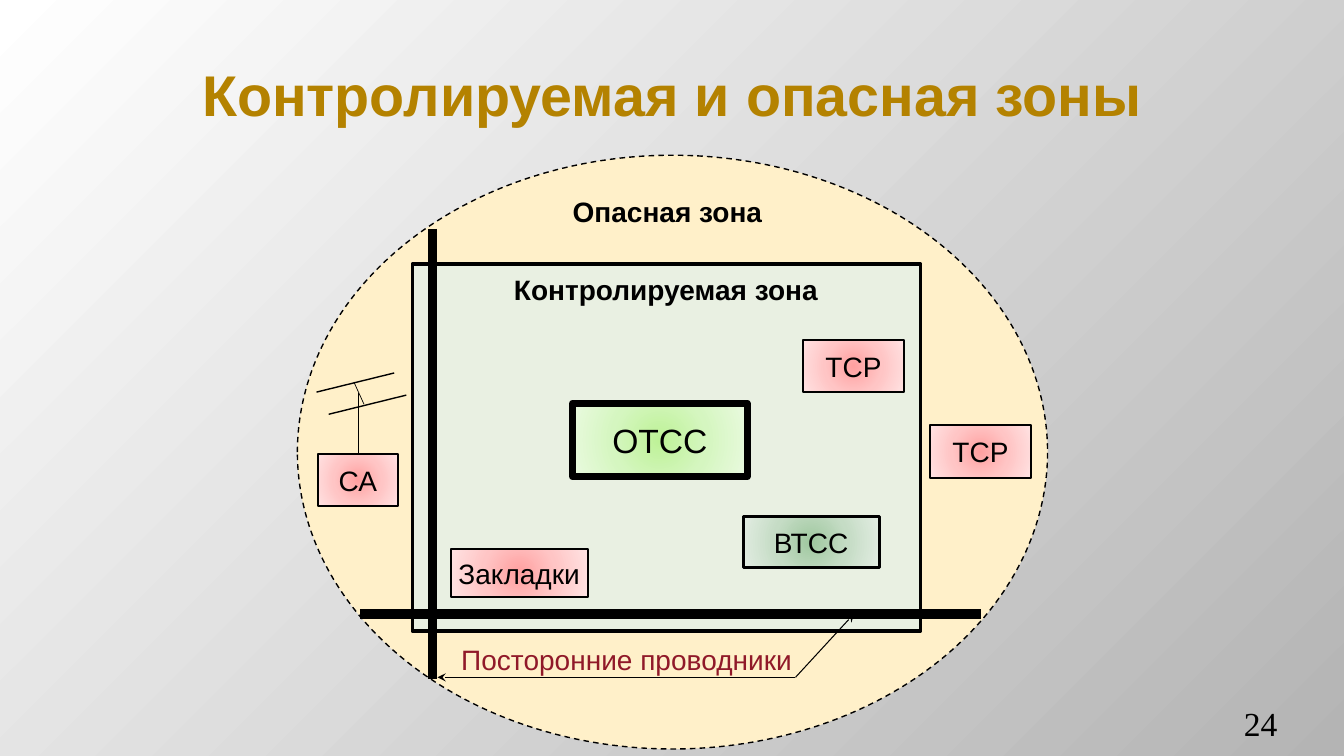
"""Build the slide on controlled and dangerous zones."""
from lxml import etree
from pptx import Presentation
from pptx.dml.color import RGBColor
from pptx.enum import dml, shapes, text
from pptx.oxml import ns
from pptx.util import Inches, Pt

BLACK = RGBColor(0x00, 0x00, 0x00)
GOLD = RGBColor(0xB4, 0x82, 0x00)
MAROON = RGBColor(0x90, 0x19, 0x29)
CREAM = RGBColor(0xFF, 0xF0, 0xC9)
PALE_GREEN = RGBColor(0xE9, 0xF0, 0xE2)
BACKDROP = (RGBColor(0xFF, 0xFF, 0xFF), RGBColor(0xB4, 0xB4, 0xB4))
PINK = (RGBColor(0xFF, 0xA0, 0xA0), RGBColor(0xFF, 0xC5, 0xC5), RGBColor(0xFF, 0xE3, 0xE3))
LIME = (RGBColor(0xBE, 0xF2, 0x97), RGBColor(0xD5, 0xF6, 0xC0), RGBColor(0xEA, 0xFA, 0xE0))
SAGE = (RGBColor(0x9F, 0xC8, 0x9F), RGBColor(0xC5, 0xDC, 0xC5), RGBColor(0xE3, 0xED, 0xE3))
CENTRE = (50, 50, 50, 50)
TOP_LEFT = (0, 0, 100, 100)
BOX_INSETS = (0.04, 0.05)
TEXT_INSETS = (0.1, 0.05)


def add_part(parent, tag, **attributes):
    """Append a drawing element with the given attributes."""
    values = {name: str(value) for name, value in attributes.items()}
    return etree.SubElement(parent, ns.qn(tag), values)


def radiate(fill, owner, colours, focus):
    """Give a fill a circular gradient of evenly spaced colours."""
    fill.gradient()
    gradient = owner.find(".//" + ns.qn("a:gradFill"))
    for child in list(gradient):
        gradient.remove(child)
    stops = add_part(gradient, "a:gsLst")
    for index, colour in enumerate(colours):
        stop = add_part(stops, "a:gs", pos=100000 * index // (len(colours) - 1))
        add_part(stop, "a:srgbClr", val=colour)
    circle = add_part(gradient, "a:path", path="circle")
    sides = {side: share * 1000 for side, share in zip("ltrb", focus)}
    add_part(circle, "a:fillToRect", **sides)


def write(shape, words, size, insets=TEXT_INSETS, anchor=text.MSO_ANCHOR.MIDDLE,
          align=text.PP_ALIGN.CENTER, colour=BLACK, **font):
    """Put one formatted line of text into a shape."""
    frame = shape.text_frame
    across, down = (Inches(inset) for inset in insets)
    layout = {"word_wrap": True, "vertical_anchor": anchor, "margin_left": across,
              "margin_right": across, "margin_top": down, "margin_bottom": down}
    for name, value in layout.items():
        setattr(frame, name, value)
    paragraph = frame.paragraphs[0]
    paragraph.alignment = align
    run = paragraph.add_run()
    run.text = words
    for name, value in {"name": "Arial", "size": Pt(size), **font}.items():
        setattr(run.font, name, value)
    run.font.color.rgb = colour


def add_label(slide, place, words, size, **style):
    """Add a text box."""
    label = slide.shapes.add_textbox(*map(Inches, place))
    write(label, words, size, **style)


def add_outlined(slide, kind, place, weight):
    """Add a black-outlined shape without a shadow."""
    shape = slide.shapes.add_shape(kind, *map(Inches, place))
    shape.shadow.inherit = False
    shape.line.color.rgb = BLACK
    shape.line.width = Pt(weight)
    return shape


def add_zone(slide, kind, place, colour, weight):
    """Add a plain zone area."""
    zone = add_outlined(slide, kind, place, weight)
    zone.fill.solid()
    zone.fill.fore_color.rgb = colour
    return zone


def add_device(slide, place, words, colours=PINK, weight=1.5, size=20, insets=BOX_INSETS):
    """Add a device box with a glowing centre."""
    device = add_outlined(slide, shapes.MSO_SHAPE.RECTANGLE, place, weight)
    radiate(device.fill, device.element.spPr, colours, CENTRE)
    write(device, words, size, insets)
    return device


def add_line(slide, start, end, weight, arrow=None):
    """Add a black straight line, with an arrowhead at one end if asked."""
    line = slide.shapes.add_connector(
        shapes.MSO_CONNECTOR.STRAIGHT, *map(Inches, start + end))
    line.line.color.rgb = BLACK
    line.line.width = Pt(weight)
    if arrow:
        add_part(line.line._get_or_add_ln(), arrow, type="stealth")
    add_part(line.element.spPr, "a:effectLst")
    return line


def add_antenna(slide):
    """Add the СА device with its antenna."""
    station = add_device(slide, (3.15, 4.5, 0.8, 0.52), "СА")
    for left, top in ((3.14, 3.89), (3.26, 4.11)):
        add_line(slide, (left, top), (left + 0.77, top - 0.19), 1)
    add_line(slide, (3.51, 3.79), (3.61, 4.01), 0.5)
    mast = add_line(slide, (3.55, 3.9), (3.55, 4.5), 0.5)
    mast.end_connect(station, 0)


def main():
    """Draw the slide and save it."""
    deck = Presentation()
    deck.slide_width, deck.slide_height = Inches(13.33), Inches(7.5)
    slide = deck.slides.add_slide(deck.slide_layouts[6])
    radiate(slide.background.fill, slide.element, BACKDROP, TOP_LEFT)
    add_label(slide, (0.67, 0.3, 12, 1.25), "Контролируемая и опасная зоны", 41,
              colour=GOLD, bold=True)
    add_label(slide, (11.56, 7.02, 1.11, 0.4), "24", 24, insets=(0, 0.05),
              anchor=text.MSO_ANCHOR.BOTTOM, align=text.PP_ALIGN.RIGHT,
              name="Times New Roman")

    danger = add_zone(slide, shapes.MSO_SHAPE.OVAL, (2.95, 1.54, 7.44, 5.89), CREAM, 1)
    danger.line.dash_style = dml.MSO_LINE.DASH
    add_zone(slide, shapes.MSO_SHAPE.RECTANGLE, (4.09, 2.62, 5.04, 3.64), PALE_GREEN, 2.5)
    for place, words in (((5.26, 1.88, 2.72, 0.52), "Опасная зона"),
                         ((4.31, 2.65, 4.59, 0.52), "Контролируемая зона")):
        add_label(slide, place, words, 20, anchor=text.MSO_ANCHOR.TOP, bold=True)

    add_device(slide, (7.37, 5.12, 1.35, 0.51), "ВТСС", SAGE, 2.25)
    add_device(slide, (5.68, 4, 1.73, 0.73), "ОТСС", LIME, 5, 24, TEXT_INSETS)
    add_device(slide, (4.47, 5.45, 1.36, 0.47), "Закладки")
    for left, top in ((7.96, 3.37), (9.22, 4.22)):
        add_device(slide, (left, top, 1.01, 0.52), "ТСР")
    add_antenna(slide)

    add_line(slide, (4.29, 2.27), (4.29, 6.74), 6.75)
    add_line(slide, (3.57, 6.09), (9.73, 6.09), 6.75)
    add_label(slide, (4.38, 6.33, 3.67, 0.43), "Посторонние проводники", 20,
              insets=(0.1, 0.04), colour=MAROON)
    add_line(slide, (4.34, 6.72), (7.89, 6.72), 0.25, "a:headEnd")
    add_line(slide, (7.89, 6.72), (8.47, 6.09), 0.75, "a:tailEnd")
    deck.save("out.pptx")


if __name__ == "__main__":
    main()
